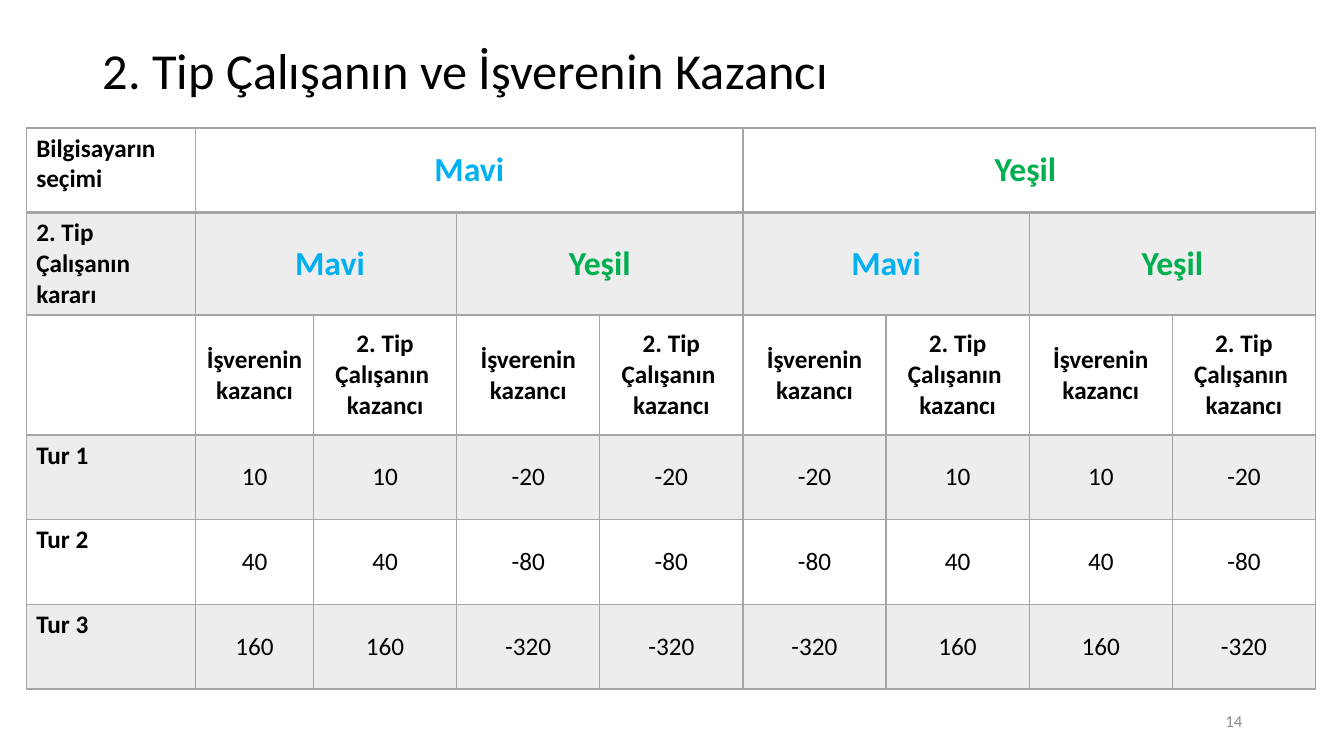
from pptx import Presentation
from pptx import util as u
from pptx.dml.color import RGBColor
from pptx.enum import text as t
from pptx.oxml import parse_xml

NS = "http://schemas.openxmlformats.org/drawingml/2006/main"
BLACK, WHITE, BAND, GRID = "000000", "FFFFFF", "EDEDED", "A5A5A5"
BLUE, GREEN, GREY = "00B0F0", "00B050", "8C8C8C"
LEFT, CENTER, RIGHT = t.PP_ALIGN.LEFT, t.PP_ALIGN.CENTER, t.PP_ALIGN.RIGHT
TOP, MIDDLE = t.MSO_ANCHOR.TOP, t.MSO_ANCHOR.MIDDLE


def color(value):
    return RGBColor.from_string(value)


def assign(target, values):
    for name, value in values.items():
        setattr(target, name, value)


class Page:
    font = "Calibri"

    def __init__(self, deck):
        self.slide = deck.slides.add_slide(deck.slide_layouts[6])

    def span(self, para, words, size, tint=BLACK, bold=False, align=LEFT):
        para.alignment = align
        span = para.add_run()
        span.text = words
        assign(span.font, {"name": self.font, "size": u.Pt(size), "bold": bold})
        span.font.color.rgb = color(tint)

    def text(self, place, words, size, spacing=1.0, **style):
        box = self.slide.shapes.add_textbox(*map(u.Inches, place))
        assign(box.text_frame, {"word_wrap": True, "vertical_anchor": MIDDLE})
        para = box.text_frame.paragraphs[0]
        para.line_spacing = spacing
        self.span(para, words, size, **style)

    def table(self, left, top, widths, heights):
        frame = self.slide.shapes.add_table(
            len(heights), len(widths), u.Inches(left), u.Inches(top),
            u.Inches(sum(widths)), u.Inches(sum(heights)))
        table = frame.table
        assign(table, {"first_row": False, "horz_banding": False})
        for column, width in zip(table.columns, widths):
            column.width = u.Inches(width)
        for number, (row, height) in enumerate(zip(table.rows, heights)):
            row.height = u.Inches(height)
            for cell in row.cells:
                cell.fill.solid()
                cell.fill.fore_color.rgb = color(BAND if number % 2 else WHITE)
                self.borders(cell, bottom=2 if number == 0 else 1)
        return table

    def borders(self, cell, bottom):
        properties = cell._tc.get_or_add_tcPr()
        sides = {"L": 1, "R": 1, "T": 1, "B": bottom}
        for place, (side, points) in enumerate(sides.items()):
            properties.insert(place, parse_xml(
                f'<a:ln{side} xmlns:a="{NS}" w="{u.Pt(points)}"><a:solidFill>'
                f'<a:srgbClr val="{GRID}"/></a:solidFill></a:ln{side}>'))

    def cell(self, table, row, column, words, size=18, width=1, anchor=MIDDLE,
             align=CENTER, **style):
        cell = table.cell(row, column)
        if width > 1:
            cell.merge(table.cell(row, column + width - 1))
        cell.vertical_anchor = anchor
        self.span(cell.text_frame.paragraphs[0], words, size, align=align, **style)


deck = Presentation()
assign(deck, {"slide_width": u.Inches(13.33), "slide_height": u.Inches(7.5)})
page = Page(deck)

# Payoff table
payoffs = page.table(0.26, 1.27, [1.68, 1.17] + [1.42] * 7,
                     [0.84, 0.84, 1.19, 0.84, 0.84, 0.84])

# Row labels
labels = {0: "Bilgisayarın seçimi", 1: "2. Tip Çalışanın kararı",
          3: "Tur 1", 4: "Tur 2", 5: "Tur 3"}
for row, label in labels.items():
    page.cell(payoffs, row, 0, label, bold=True, anchor=TOP, align=LEFT)

# Choices: the computer's over four columns, the worker's over two
choices = {4: [" Mavi ", "Yeşil "], 2: [" Mavi", "Yeşil", "Mavi", "Yeşil"]}
for row, (width, names) in enumerate(choices.items()):
    for place, name in enumerate(names):
        page.cell(payoffs, row, 1 + place * width, name, 24, width, bold=True,
                  tint=BLUE if "Mavi" in name else GREEN)

# Column headings
headings = ["İşverenin kazancı", "2. Tip Çalışanın  kazancı"] * 4
for column, heading in enumerate(headings, 1):
    page.cell(payoffs, 2, column, heading, bold=True)

# Payoffs: each round multiplies its stake by the same factors
factors = [1, 1, -2, -2, -2, 1, 1, -2]
for row, stake in enumerate([10, 40, 160], 3):
    for column, factor in enumerate(factors, 1):
        page.cell(payoffs, row, column, str(stake * factor))

# Title and page number
page.text((0.92, 0.4, 11.5, 0.66), "2. Tip Çalışanın ve İşverenin Kazancı", 36,
          spacing=0.9)
page.text((9.42, 6.95, 3, 0.4), "14", 12, tint=GREY, align=RIGHT)

deck.save("out.pptx")
